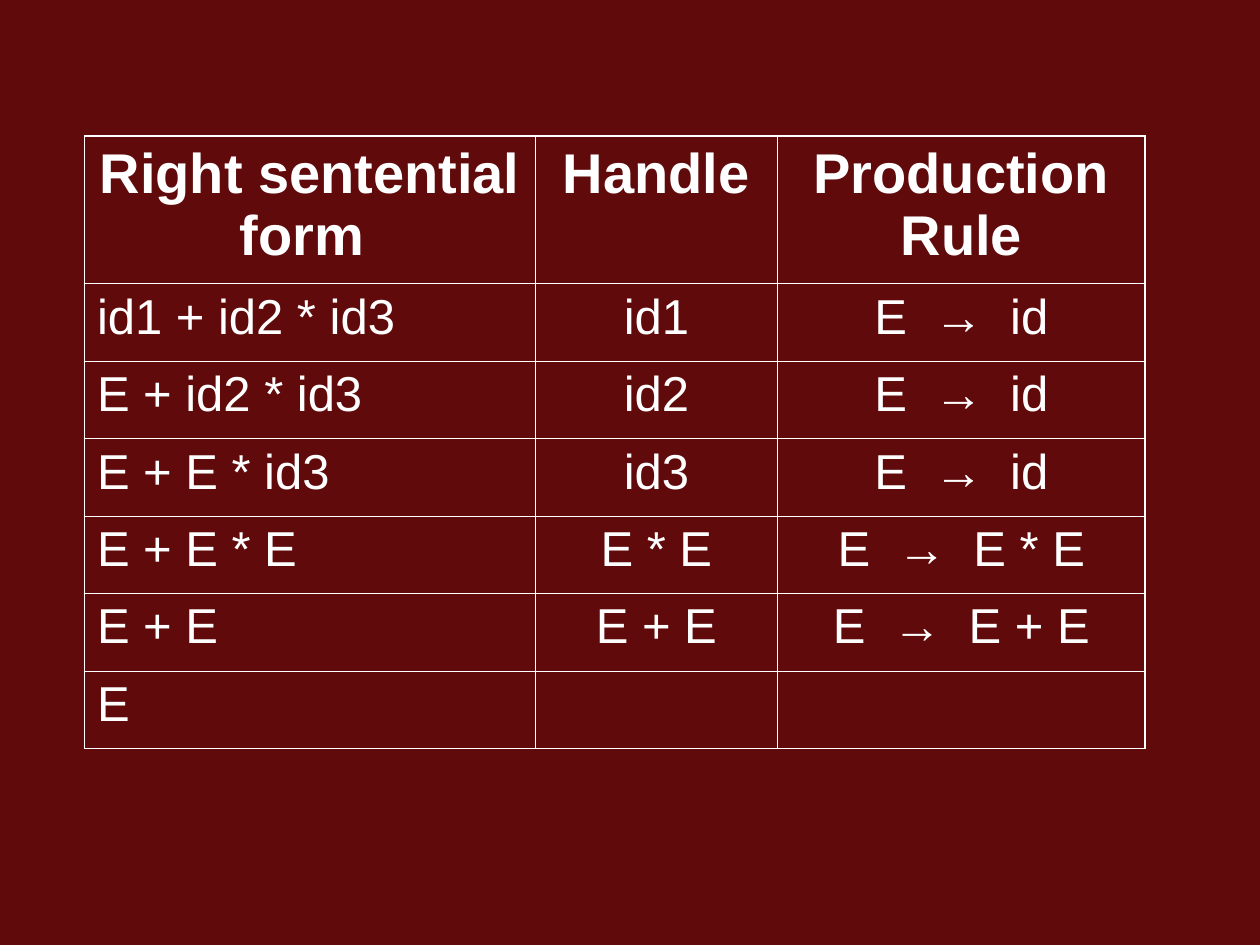
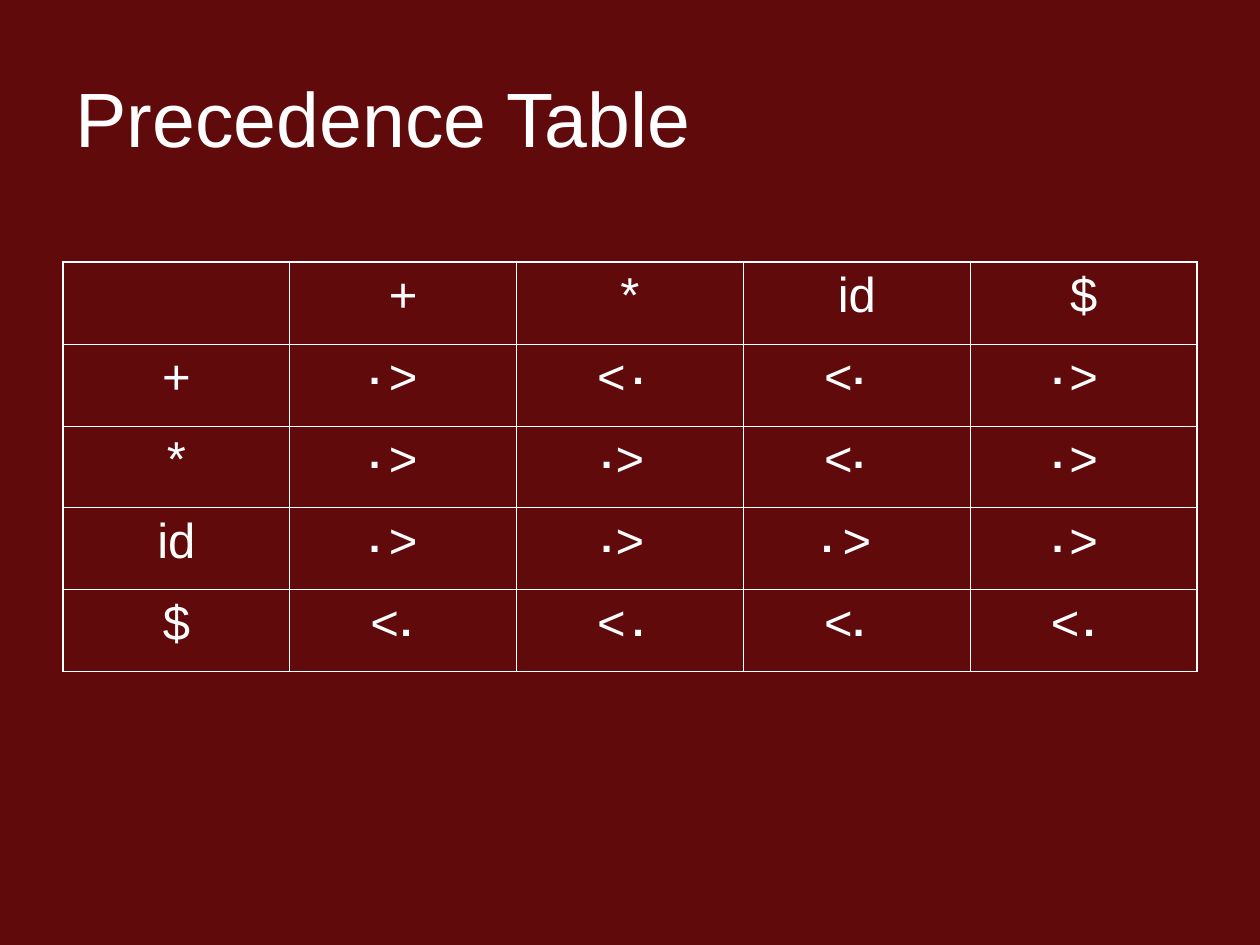
from dataclasses import dataclass

from lxml.etree import SubElement
from pptx import Presentation
from pptx.dml.color import RGBColor
from pptx.enum.text import MSO_ANCHOR, MSO_AUTO_SIZE, PP_ALIGN
from pptx.oxml.ns import qn
from pptx.util import Inches, Pt


@dataclass(frozen=True)
class Theme:
    background: RGBColor = RGBColor(0x60, 0x0A, 0x0B)
    ink: RGBColor = RGBColor(0xFF, 0xFF, 0xFF)
    font: str = "Arial"
    title: int = 44
    heading: int = 32
    entry: int = 28
    dot: int = 24
    outer_line: float = 1.08
    inner_line: float = 0.45


THEME = Theme()
TITLE_ONLY, BLANK = 5, 6


def write(frame, text, *, size, bold=False, align=PP_ALIGN.LEFT):
    paragraph = frame.paragraphs[0]
    paragraph.alignment = align
    run = paragraph.add_run()
    run.text = text
    run.font.name = THEME.font
    run.font.size = Pt(size)
    run.font.bold = bold
    run.font.color.rgb = THEME.ink


class Deck:
    def __init__(self, theme):
        self.theme = theme
        self.presentation = Presentation()
        self.presentation.slide_width = Inches(10)
        self.presentation.slide_height = Inches(7.5)
        backdrop = self.presentation.slide_master.background.fill
        backdrop.solid()
        backdrop.fore_color.rgb = theme.background
        self.slide = None

    def add_slide(self, layout):
        layouts = self.presentation.slide_layouts
        self.slide = self.presentation.slides.add_slide(layouts[layout])

    def title(self, text):
        heading = self.slide.shapes.title
        heading.left, heading.top = Inches(0.5), Inches(0.3)
        heading.width, heading.height = Inches(9), Inches(1.25)
        heading.text_frame.vertical_anchor = MSO_ANCHOR.MIDDLE
        write(heading.text_frame, text, size=self.theme.title)

    def label(self, text, left, top, width, height):
        box = self.slide.shapes.add_textbox(
            Inches(left), Inches(top), Inches(width), Inches(height))
        box.text_frame.word_wrap = True
        box.text_frame.auto_size = MSO_AUTO_SIZE.SHAPE_TO_FIT_TEXT
        write(box.text_frame, text, size=self.theme.dot, bold=True)

    def border(self, cell, side, weight):
        line = SubElement(cell._tc.get_or_add_tcPr(), qn(f"a:ln{side}"), w=str(Pt(weight)))
        fill = SubElement(line, qn("a:solidFill"))
        SubElement(fill, qn("a:srgbClr"), val=str(self.theme.ink))

    def table(self, left, top, widths, heights, entries, style):
        last_row, last_column = len(heights) - 1, len(widths) - 1
        table = self.slide.shapes.add_table(
            len(heights), len(widths), Inches(left), Inches(top),
            Inches(sum(widths)), Inches(sum(heights))).table
        table.first_row = table.horz_banding = False
        for column, width in zip(table.columns, widths):
            column.width = Inches(width)
        for row, height in zip(table.rows, heights):
            row.height = Inches(height)
        for row, texts in enumerate(entries):
            for column, text in enumerate(texts):
                cell = table.cell(row, column)
                outer = {"L": column == 0, "R": column == last_column,
                         "T": row == 0, "B": row == last_row}
                for side, is_outer in outer.items():
                    weight = self.theme.outer_line if is_outer else self.theme.inner_line
                    self.border(cell, side, weight)
                cell.fill.background()
                if text:
                    indent, text_format = style(row, column, text)
                    cell.margin_left = Inches(0.1 + indent)
                    write(cell.text_frame, text, **text_format)


def handle_style(row, column, text):
    if row == 0:
        return 0, dict(size=THEME.heading, bold=True, align=PP_ALIGN.CENTER)
    align = PP_ALIGN.CENTER if column else PP_ALIGN.LEFT
    return 0, dict(size=THEME.entry, align=align)


def precedence_style(row, column, text):
    if text == "<":
        return 0.54, dict(size=THEME.entry)
    return 0, dict(size=THEME.entry, align=PP_ALIGN.CENTER)


def add_handles(deck):
    deck.add_slide(BLANK)
    reductions = [
        ("Right sentential form ", "Handle", "Production Rule"),
        ("id1 + id2 * id3", "id1", "E  →  id"),
        ("E + id2 * id3", "id2", "E  →  id"),
        ("E + E * id3", "id3", "E  →  id"),
        ("E + E * E", "E * E", "E  →  E * E"),
        ("E + E", "E + E", "E  →  E + E"),
        ("E", "", ""),
    ]
    header_height, total_height = 1.17, 4.86
    step_count = len(reductions) - 1
    step_height = (total_height - header_height) / step_count
    deck.table(0.67, 1.08, [3.58, 1.92, 2.92],
               [header_height] + [step_height] * step_count,
               reductions, handle_style)


def add_precedence(deck):
    deck.add_slide(TITLE_ONLY)
    deck.title("Precedence Table")
    symbols = ["+", "*", "id", "$"]
    relations = [">< <>".replace(" ", ""), ">><>", ">>>>", "<<<<"]
    entries = [["", *symbols]]
    entries += [[symbol, *relation] for symbol, relation in zip(symbols, relations)]
    deck.table(0.5, 2.08, [1.8] * 5, [0.65] * 5, entries, precedence_style)

    dot_lefts = [2.83, 4.67, 6.42, 8.25]
    for row, relation in enumerate(relations):
        for left, sign in zip(dot_lefts, relation):
            shift = 0.25 if sign == "<" else 0
            deck.label(".", left + shift, 2.67 + row * 2 / 3, 0.36, 0.5)


def main():
    deck = Deck(THEME)
    add_handles(deck)
    add_precedence(deck)
    deck.presentation.save("out.pptx")


if __name__ == "__main__":
    main()
